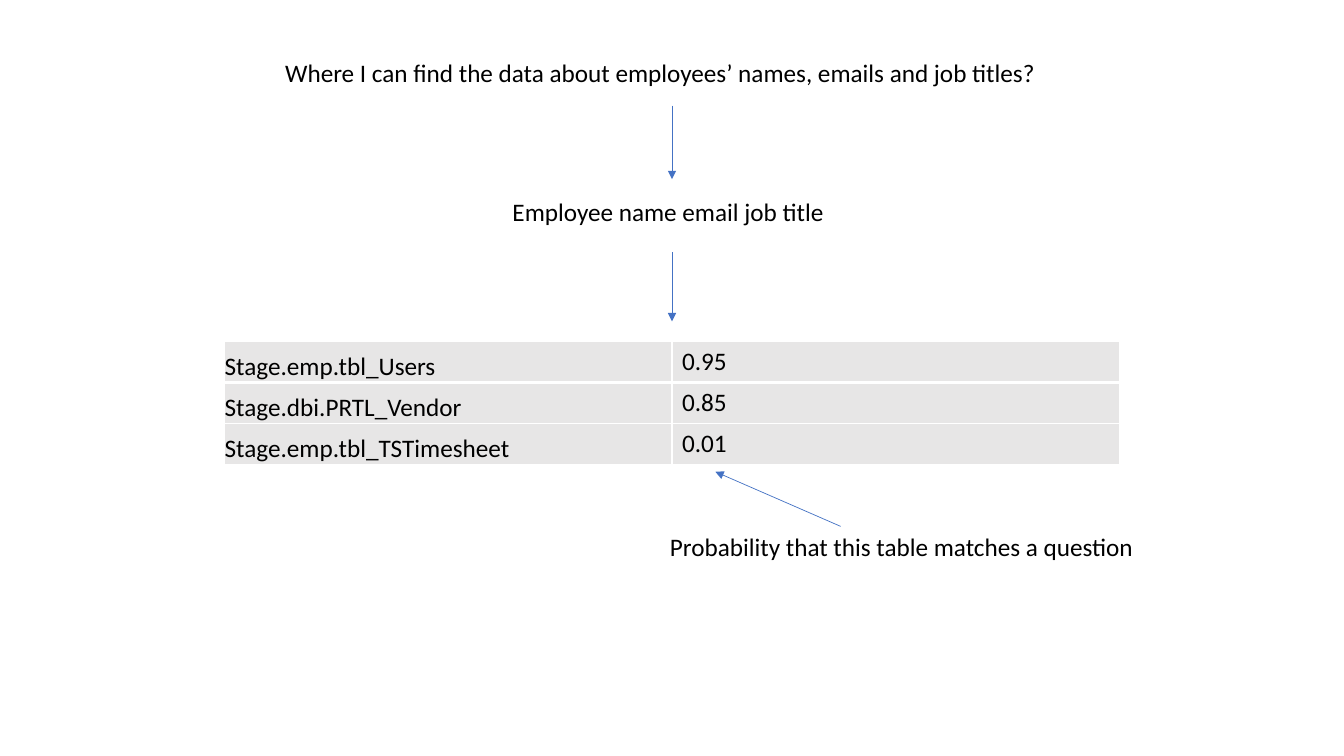
from dataclasses import dataclass

from lxml import etree
from pptx import Presentation
from pptx import util as u
from pptx.dml.color import RGBColor
from pptx.enum import shapes, text
from pptx.oxml.ns import qn


@dataclass(frozen=True)
class Theme:
    """Colours, font and sizes of the deck."""
    ink: str = "000000"
    arrow: str = "4472C4"
    cell: str = "E7E6E6"
    border: str = "FFFFFF"
    font: str = "Calibri"
    size: float = 18
    arrow_width: float = 0.5
    border_width: float = 1
    header_border: float = 3


@dataclass(frozen=True)
class Box:
    """A rectangle in points."""
    left: float
    top: float
    width: float
    height: float

    def inner(self, left, top, width, height):
        """Return a box given relative to this one."""
        return Box(self.left + left, self.top + top, width, height)

    def lengths(self):
        """Return left, top, width and height as lengths."""
        return [u.Pt(side) for side in (self.left, self.top, self.width, self.height)]


THEME = Theme()
LINE_HEIGHT = 29


def write(frame, words):
    """Put one left-aligned run of words in a text frame."""
    para = frame.paragraphs[0]
    para.alignment = text.PP_ALIGN.LEFT
    span = para.add_run()
    span.text = words
    span.font.name = THEME.font
    span.font.size = u.Pt(THEME.size)
    span.font.bold = False
    span.font.color.rgb = RGBColor.from_string(THEME.ink)


def add_label(page, box, words, wrap=True):
    """Add a text box holding one line."""
    frame = page.shapes.add_textbox(*box.lengths()).text_frame
    frame.word_wrap = wrap
    frame.auto_size = text.MSO_AUTO_SIZE.SHAPE_TO_FIT_TEXT
    write(frame, words)


def add_arrow(page, box, start, end):
    """Draw an arrow between two points given relative to the box."""
    ends = [u.Pt(value) for x, y in (start, end)
            for value in (box.left + x, box.top + y)]
    arrow = page.shapes.add_connector(shapes.MSO_CONNECTOR.STRAIGHT, *ends)
    arrow.line.color.rgb = RGBColor.from_string(THEME.arrow)
    arrow.line.width = u.Pt(THEME.arrow_width)
    etree.SubElement(arrow.line._get_or_add_ln(), qn("a:tailEnd"), type="triangle")
    etree.SubElement(arrow._element.spPr, qn("a:effectLst"))


def style_cell(cell, top, bottom):
    """Give a cell its borders and fill."""
    properties = cell._tc.get_or_add_tcPr()
    widths = {"lnL": THEME.border_width, "lnR": THEME.border_width,
              "lnT": top, "lnB": bottom}
    for side, width in widths.items():
        line = etree.SubElement(properties, qn(f"a:{side}"), w=str(u.Pt(width)))
        fill = etree.SubElement(line, qn("a:solidFill"))
        etree.SubElement(fill, qn("a:srgbClr"), val=THEME.border)
    cell.fill.solid()
    cell.fill.fore_color.rgb = RGBColor.from_string(THEME.cell)


def add_question(page, box, question, keywords):
    """Place the question and the keywords drawn from it."""
    title = page.shapes.title
    title.left, title.top, title.width, title.height = box.inner(
        0, 0, box.width, LINE_HEIGHT).lengths()
    frame = title.text_frame
    frame.word_wrap = True
    frame.auto_size = text.MSO_AUTO_SIZE.SHAPE_TO_FIT_TEXT
    frame.vertical_anchor = text.MSO_ANCHOR.TOP
    write(frame, question)
    middle = box.width / 2
    add_arrow(page, box, (middle, 38), (middle, 90.5))
    add_label(page, box.inner(middle - 121, 99.5, 241, LINE_HEIGHT), keywords)
    add_arrow(page, box, (middle, 142.5), (middle, 192))


def add_matches(page, box, matches):
    """Place the table of matching tables and their probabilities."""
    table = page.shapes.add_table(len(matches), 2, *box.lengths()).table
    table.first_row = table.horz_banding = False
    for column in table.columns:
        column.width = u.Pt(box.width / 2)
    for index, match in enumerate(matches):
        table.rows[index].height = u.Pt(box.height / len(matches))
        top = THEME.header_border if index == 1 else THEME.border_width
        bottom = THEME.header_border if index == 0 else THEME.border_width
        for column, words in enumerate(match):
            cell = table.cell(index, column)
            write(cell.text_frame, words)
            style_cell(cell, top, bottom)
        name = table.cell(index, 0)
        name.vertical_anchor = text.MSO_ANCHOR.BOTTOM
        name.margin_left = name.margin_top = name.margin_right = u.Pt(0.5)
        name.margin_bottom = u.Pt(0)


def add_note(page, box, words):
    """Place the note with its arrow up to the probabilities."""
    add_label(page, box.inner(0, 39, box.width, LINE_HEIGHT), words, wrap=False)
    add_arrow(page, box, (129, 39), (39.5, 0))


def main():
    """Build and save the deck."""
    deck = Presentation()
    deck.slide_width, deck.slide_height = u.Pt(960), u.Pt(540)
    page = deck.slides.add_slide(deck.slide_layouts.get_by_name("Title Only"))
    add_question(page, Box(196.5, 37.5, 567, 192),
                 "Where I can find the data about employees’ names, emails and job titles?",
                 "Employee name email job title")
    add_matches(page, Box(160, 244, 640, 88),
                [("Stage.emp.tbl_Users", "0.95"),
                 ("Stage.dbi.PRTL_Vendor", "0.85"),
                 ("Stage.emp.tbl_TSTimesheet", "0.01")])
    add_note(page, Box(471.5, 337, 356.5, 68),
             "Probability that this table matches a question")
    deck.save("out.pptx")


main()
